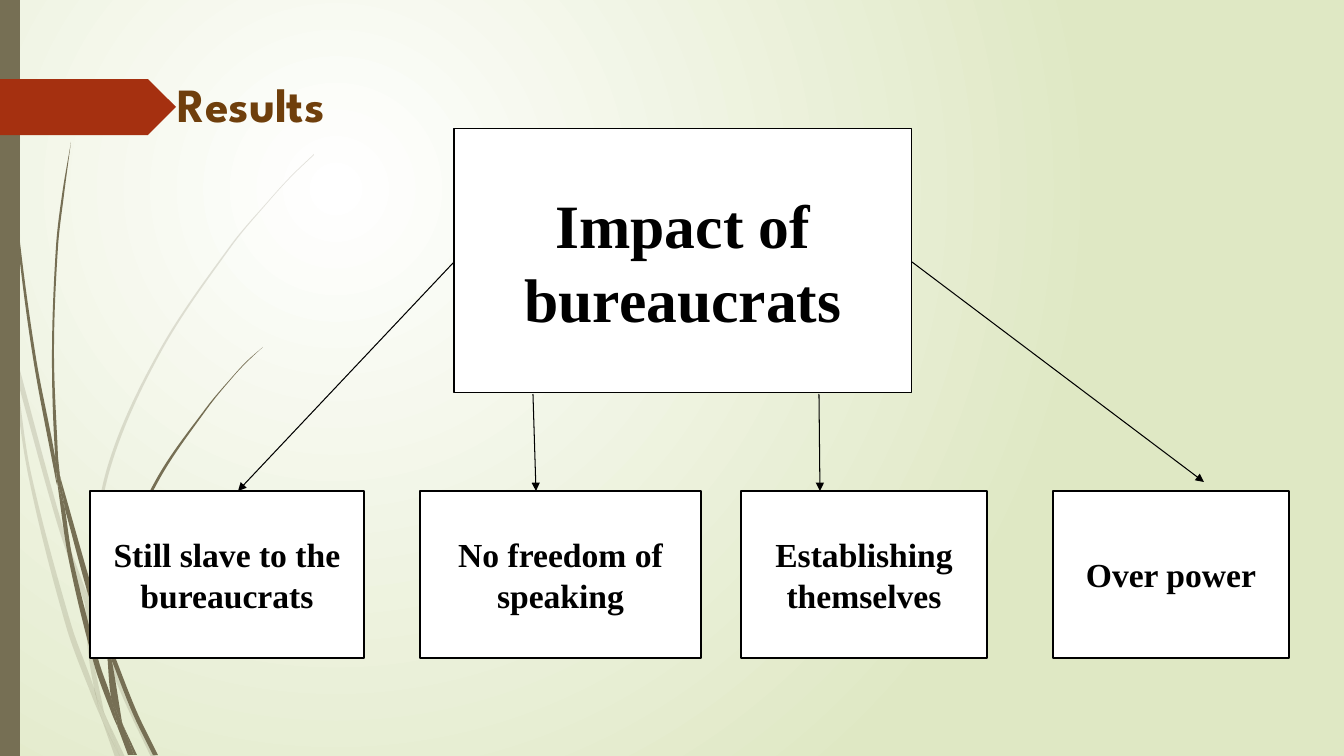
import math
from lxml import etree
from pptx import Presentation, util as u
from pptx.dml.color import RGBColor
from pptx.enum import shapes, text
from pptx.oxml.ns import qn

PX = 914400 / 100.8
COLORS = {"white": "FFFFFF", "black": "000000", "sage": "DFE8C4",
          "olive": "766F54", "rust": "A53010", "brown": "6F3F0C"}
SERIF, SPARTAN = "Times New Roman", "League Spartan"

# Each piece of grass: the edge going down, then the edge coming back up
FAINT_GRASS = [
    ([(0, 284), (9, 325), (11, 353)], [(10, 347), (0, 301)]),
    ([(14, 348), (62, 524), (86, 591)], [(85, 604), (58, 526), (17, 379)]),
    ([(89, 601), (93, 612), (128, 698), (156, 757)],
     [(151, 757), (124, 700), (89, 615)]),
    ([(106, 717), (125, 757)], [(120, 757)]),
    ([(11, 353), (28, 474), (66, 626), (93, 699), (102, 720)],
     [(100, 713), (94, 688), (71, 624), (31, 473), (17, 379)]),
    ([(85, 604), (88, 651), (94, 688), (97, 698), (106, 717)],
     [(104, 712), (92, 651), (89, 615), (89, 613)]),
    ([(314, 154), (291, 176), (270, 199), (230, 246), (159, 351), (108, 465),
      (86, 590)],
     [(89, 601), (89, 589), (111, 466), (161, 352), (231, 247), (270, 200),
      (292, 176), (314, 155)]),
    ([(102, 720), (115, 757)], [(120, 757)]),
    ([(86, 591), (89, 601), (89, 615)], [(89, 613), (85, 604)]),
    ([(94, 688), (100, 713), (102, 720), (120, 757)], [(106, 717), (97, 698)]),
]
DARK_GRASS = [
    ([(4, 0), (5, 48), (8, 110), (19, 234), (36, 358), (55, 457), (57, 485)],
     [(56, 481), (33, 358), (17, 235), (7, 111), (4, 48), (3, 0)]),
    ([(60, 476), (94, 595), (107, 636)], [(107, 650), (89, 597), (65, 509)]),
    ([(111, 646), (114, 654), (137, 712), (158, 755)],
     [(153, 755), (133, 714), (112, 661)]),
    ([(57, 481), (69, 561), (94, 664), (112, 714), (118, 728)],
     [(117, 723), (111, 697), (99, 662), (73, 560), (65, 509)]),
    ([(71, 142), (62, 195), (56, 247), (52, 352), (55, 453), (60, 476)],
     [(58, 457), (54, 352), (58, 247), (64, 195), (71, 142)]),
    ([(123, 725), (137, 755)], [(134, 755)]),
    ([(55, 453), (60, 476), (65, 509)], [(57, 481), (55, 457)]),
    ([(263, 347), (247, 361), (233, 376), (206, 408), (157, 478), (123, 555),
      (107, 636)],
     [(111, 646), (112, 638), (126, 556), (159, 480), (207, 409), (233, 377),
      (247, 362), (263, 347)]),
    ([(118, 728), (128, 755)], [(132, 755)]),
    ([(107, 650), (111, 697), (117, 712), (123, 725)],
     [(122, 722), (112, 661), (110, 656)]),
    ([(107, 636), (111, 646), (112, 661)], [(110, 656), (107, 650)]),
    ([(111, 697), (117, 723), (118, 728), (131, 755)],
     [(134, 755), (123, 725), (117, 712)]),
]

IMPACT_BOX = (454, 129, 458, 264)
RESULT_TOP, RESULT_HEIGHT = 491, 167
RESULTS = [(90, 274, "Still slave to the bureaucrats"),
           (420, 281, "No freedom of speaking"),
           (741, 246, "Establishing themselves"),
           (1053, 236, "Over power")]
ARROWS = [(454, 262, 238, 491), (533, 394, 536, 491),
          (819, 394, 820, 491), (912, 262, 1204, 482)]


def emu(*lengths):
    """Turn pixel lengths into EMU."""
    return [u.Emu(round(n * PX)) for n in lengths]


def rgb(name):
    """Look up a colour by name."""
    return RGBColor.from_string(COLORS[name])


def paint(sp, fill, line_width=None):
    """Fill a shape, with a black outline if a width is given."""
    sp.shadow.inherit = False
    sp.fill.solid()
    sp.fill.fore_color.rgb = rgb(fill)
    if line_width:
        sp.line.color.rgb = rgb("black")
        sp.line.width = u.Pt(line_width)
    else:
        sp.line.fill.background()


def write(sp, words, font, size, color, align, anchor):
    """Put one bold paragraph into a shape."""
    tf = sp.text_frame
    tf.text = words
    tf.word_wrap = True
    tf.vertical_anchor = anchor
    p = tf.paragraphs[0]
    p.alignment = align
    f = p.runs[0].font
    f.name, f.size, f.bold = font, u.Pt(size), True
    f.color.rgb = rgb(color)


def set_background(s):
    """Give the slide a round gradient centred in the upper left."""
    fill = s.background.fill
    fill.gradient()
    for stop, name, position in zip(fill.gradient_stops, ("white", "sage"), (0, 1)):
        stop.color.rgb = rgb(name)
        stop.position = position
    grad = s._element.find(".//" + qn("a:gradFill"))
    grad.remove(grad.find(qn("a:lin")))
    circle = etree.SubElement(grad, qn("a:path"), path="circle")
    etree.SubElement(circle, qn("a:fillToRect"), l="50000", t="50000",
                     r="100000", b="100000")


def bend(points):
    """List two handles and an end point for each stretch of a smooth edge."""
    padded = [points[0], *points, points[-1]]
    result = []
    for before, a, b, after in zip(padded, padded[1:], padded[2:], padded[3:]):
        reach = math.dist(a, b) / 3
        for point, start, end, sign in ((a, before, b, 1), (b, a, after, -1)):
            k = sign * reach / math.dist(start, end)
            result.append((point[0] + k * (end[0] - start[0]),
                           point[1] + k * (end[1] - start[1])))
        result.append(b)
    return result


def add_grass(s, down, up, alpha=None):
    """Draw one curved piece of grass between its two edges."""
    outline = bend(down) + [up[0]] * 3 + bend(up)
    builder = s.shapes.build_freeform(*emu(*down[0]))
    builder.add_line_segments([emu(*point) for point in outline], close=True)
    sp = builder.convert_to_shape()
    lines = list(sp._element.iter(qn("a:lnTo")))
    for trio in zip(lines[::3], lines[1::3], lines[2::3]):
        curve = etree.Element(qn("a:cubicBezTo"))
        trio[0].addprevious(curve)
        for line in trio:
            curve.append(line[0])
            line.getparent().remove(line)
    paint(sp, "olive")
    if alpha:
        color = sp._element.spPr.find(qn("a:solidFill"))[0]
        etree.SubElement(color, qn("a:alpha"), val=str(alpha * 1000))


def add_block(s, kind, box, fill):
    """Add a plain shape without an outline."""
    paint(s.shapes.add_shape(kind, *emu(*box)), fill)


def add_box(s, box, words, size, line_width):
    """Add a white outlined box with centred text."""
    sp = s.shapes.add_shape(shapes.MSO_SHAPE.RECTANGLE, *emu(*box))
    paint(sp, "white", line_width)
    write(sp, words, SERIF, size, "black", text.PP_ALIGN.CENTER,
          text.MSO_ANCHOR.MIDDLE)


def add_arrow(s, ends):
    """Add a thin black arrow."""
    cn = s.shapes.add_connector(shapes.MSO_CONNECTOR.STRAIGHT, *emu(*ends))
    cn.line.color.rgb = rgb("black")
    cn.line.width = u.Pt(0.75)
    etree.SubElement(cn.line._get_or_add_ln(), qn("a:tailEnd"), type="triangle")
    etree.SubElement(cn._element.spPr, qn("a:effectLst"))


def add_title(s, box, words):
    """Place the title in front of the decoration."""
    title = s.shapes.title
    title.left, title.top, title.width, title.height = emu(*box)
    write(title, words, SPARTAN, 34, "brown", text.PP_ALIGN.LEFT,
          text.MSO_ANCHOR.TOP)
    s.shapes._spTree.append(title._element)


def main():
    """Build the slide and save it."""
    prs = Presentation()
    prs.slide_width, prs.slide_height = emu(1344, 756)
    s = prs.slides.add_slide(prs.slide_layouts[5])
    set_background(s)
    for down, up in FAINT_GRASS:
        add_grass(s, down, up, alpha=20)
    for down, up in DARK_GRASS:
        add_grass(s, down, up)
    add_block(s, shapes.MSO_SHAPE.RECTANGLE, (0, 0, 20, 756), "olive")
    add_block(s, shapes.MSO_SHAPE.PENTAGON, (0, 79, 176, 56), "rust")
    add_title(s, (167, 70, 983, 84), "Results")
    add_box(s, IMPACT_BOX, "Impact of bureaucrats", 44, 0.75)
    for left, width, words in RESULTS:
        add_box(s, (left, RESULT_TOP, width, RESULT_HEIGHT), words, 24, 1.25)
    for ends in ARROWS:
        add_arrow(s, ends)
    prs.save("out.pptx")


main()
